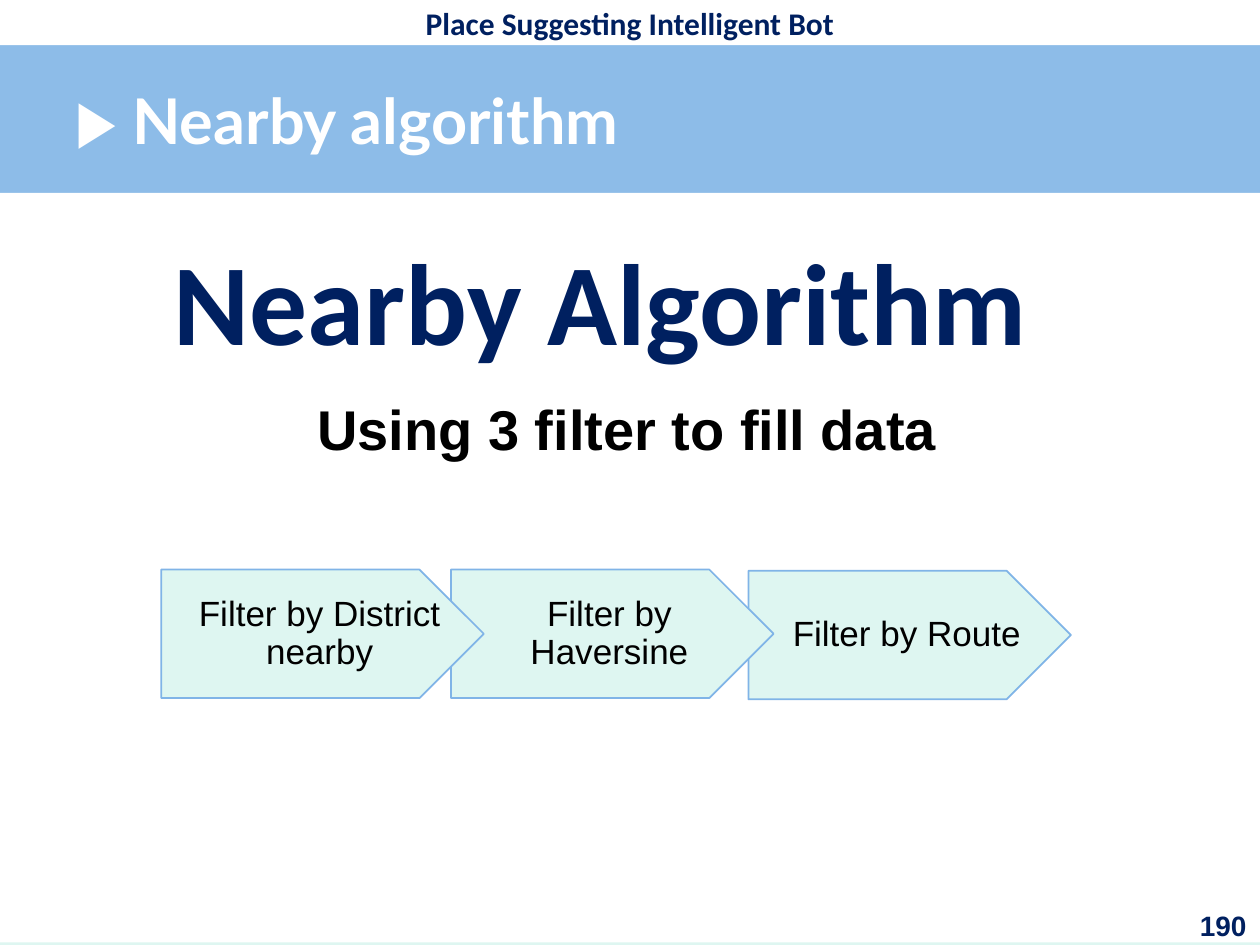
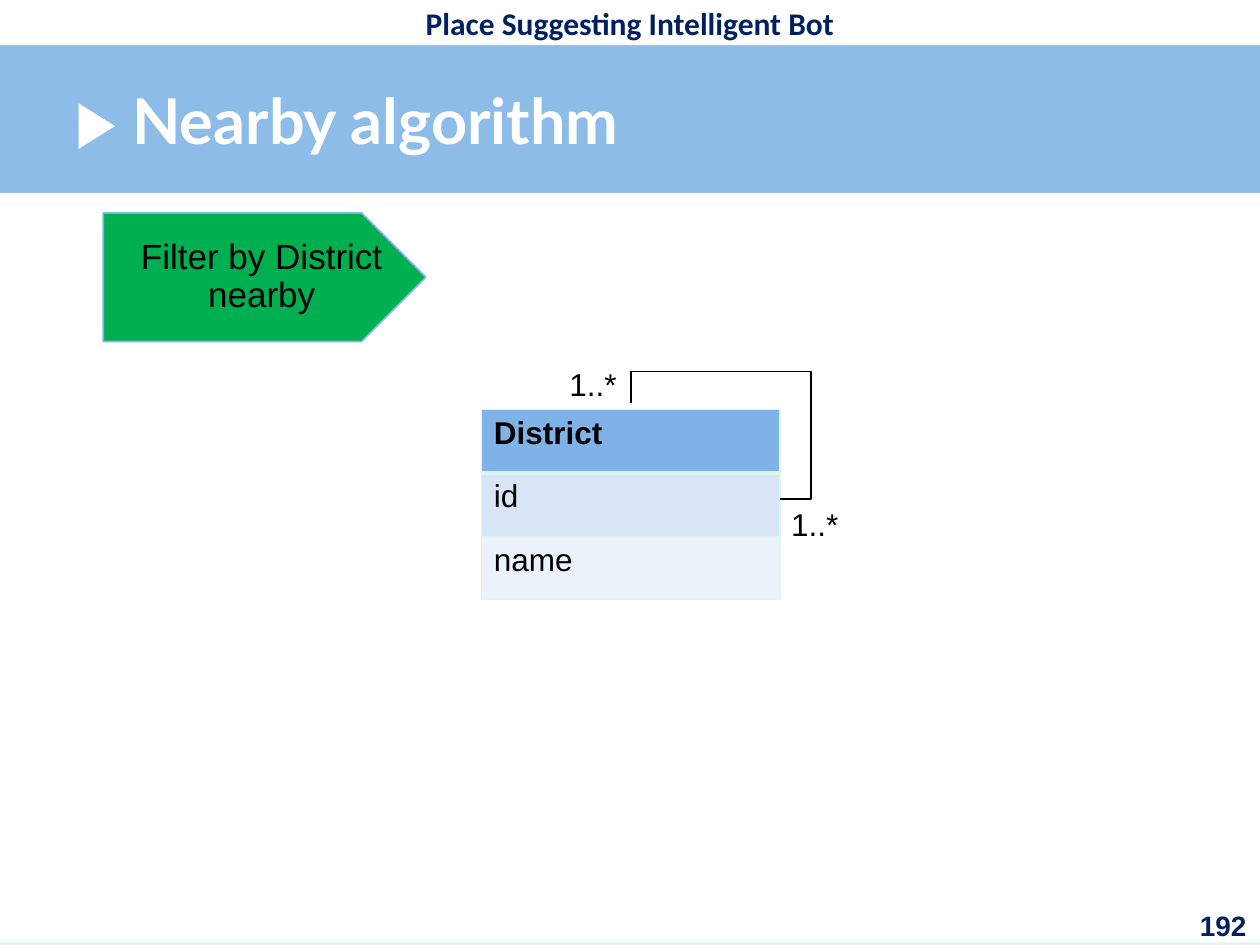
from lxml import etree
from pptx import Presentation
from pptx.dml.color import RGBColor
from pptx.enum import shapes, text
from pptx.oxml import ns
from pptx.util import Inches, Pt

# Content
HEADER = "Place Suggesting Intelligent Bot"
TITLE = "▶ Nearby algorithm"
HEADLINE = "Nearby Algorithm"
SUBTITLE = "Using 3 filter to fill data"
DISTRICT_FILTER = "Filter by District nearby"
FILTER_STEPS = [  # label, left, top
    (DISTRICT_FILTER, 1.28, 4.52),
    ("Filter by Haversine", 3.58, 4.52),
    ("Filter by Route", 5.94, 4.53),
]
DISTRICT_ROWS = ["District", "id", "name"]
MULTIPLICITIES = [("1..*", 4.42, 2.85), ("1..*", 6.18, 3.96)]

# Colours
WHITE, BLACK, NAVY = "FFFFFF", "000000", "002060"
MINT, SKY, STEP_LINE, GREEN = "DEF6F1", "7FB3E7", "80B4E7", "00B050"
ROW_FILLS = [SKY, "D8E5F6", "ECF2FA"]

CENTER, RIGHT = text.PP_ALIGN.CENTER, text.PP_ALIGN.RIGHT
MIDDLE = text.MSO_ANCHOR.MIDDLE


def color(value):
    return RGBColor.from_string(value)


def style(text_frame, size, font_color, bold=False, font="Arial", align=None):
    paragraph = text_frame.paragraphs[0]
    paragraph.alignment = align
    for run in paragraph.runs:
        run.font.size = Pt(size)
        run.font.name = font
        run.font.bold = bold
        run.font.color.rgb = color(font_color)
    return paragraph


def add_text(slide, words, box, size, font_color, wrap=True, anchor=None, **kwargs):
    text_box = slide.shapes.add_textbox(*map(Inches, box))
    text_frame = text_box.text_frame
    text_frame.text = words
    text_frame.word_wrap = wrap
    text_frame.vertical_anchor = anchor
    style(text_frame, size, font_color, **kwargs)


def add_filled(slide, kind, box, fill, line=None):
    shape = slide.shapes.add_shape(kind, *map(Inches, box))
    shape.shadow.inherit = False
    shape.fill.solid()
    shape.fill.fore_color.rgb = color(fill)
    if line:
        shape.line.color.rgb = color(line)
        shape.line.width = Pt(1)
    else:
        shape.line.fill.background()
    return shape


def add_step(slide, label, left, top, fill=MINT):
    step = add_filled(slide, shapes.MSO_SHAPE.PENTAGON, (left, top, 2.56, 1.02),
                      fill, STEP_LINE)
    text_frame = step.text_frame
    text_frame.text = label
    text_frame.word_wrap = True
    text_frame.vertical_anchor = MIDDLE
    text_frame.margin_left, text_frame.margin_right = Inches(0.28), Inches(0.07)
    text_frame.margin_top = text_frame.margin_bottom = Inches(0.15)
    style(text_frame, 20, BLACK, align=CENTER).line_spacing = 0.9


def add_base_slide(presentation, number):
    slide = presentation.slides.add_slide(presentation.slide_layouts[6])
    slide.background.fill.solid()
    slide.background.fill.fore_color.rgb = color(MINT)
    # Title band, header strip and content panel
    rectangle = shapes.MSO_SHAPE.RECTANGLE
    band = add_filled(slide, rectangle, (0, 0, 10, 1.55), SKY)
    band_color = band.fill._xPr.find(".//" + ns.qn("a:srgbClr"))
    etree.SubElement(band_color, ns.qn("a:alpha"), val="85000")
    add_filled(slide, rectangle, (0, 0, 10, 0.36), WHITE)
    add_filled(slide, rectangle, (0, 1.53, 10, 5.95), WHITE)
    # Header, title and page number
    add_text(slide, HEADER, (0.5, 0, 9, 0.36), 18, NAVY, wrap=False,
             anchor=MIDDLE, bold=True, font="Calibri", align=CENTER)
    add_text(slide, TITLE, (0.5, 0.35, 9, 1.2), 36, WHITE,
             anchor=MIDDLE, bold=True, font="Lato")
    add_text(slide, number, (9.38, 7.16, 0.61, 0.34), 16, NAVY,
             bold=True, align=RIGHT)
    return slide


def set_borders(cell, bottom_width):
    properties = cell._tc.get_or_add_tcPr()
    widths = {"lnL": 1, "lnR": 1, "lnT": 1, "lnB": bottom_width}
    for position, (side, width) in enumerate(widths.items()):
        line = etree.Element(ns.qn("a:" + side), w=str(Pt(width)))
        fill = etree.SubElement(line, ns.qn("a:solidFill"))
        etree.SubElement(fill, ns.qn("a:srgbClr"), val=MINT)
        properties.insert(position, line)


def add_district_table(slide):
    box = map(Inches, (3.82, 3.25, 2.37, 1.51))
    table = slide.shapes.add_table(len(DISTRICT_ROWS), 1, *box).table
    for index, (words, fill) in enumerate(zip(DISTRICT_ROWS, ROW_FILLS)):
        cell = table.cell(index, 0)
        cell.text = words
        cell.fill.solid()
        cell.fill.fore_color.rgb = color(fill)
        set_borders(cell, 3 if index == 0 else 1)
        style(cell.text_frame, 18, BLACK, bold=index == 0)


def add_self_relation(slide):
    left, top, width, height = 5.22, 2.99, 0.76, 1.18
    connector = slide.shapes.add_connector(
        shapes.MSO_CONNECTOR.ELBOW,
        *map(Inches, (left, top, left + width, top + height)))
    connector.line.color.rgb = color(BLACK)
    connector.line.width = Pt(1)
    properties = connector._element.spPr
    etree.SubElement(properties, ns.qn("a:effectLst"))
    # Quarter turn and bends that lead around the table corner
    frame = properties.find(ns.qn("a:xfrm"))
    frame.set("rot", "16200000")
    frame.set("flipH", "1")
    geometry = properties.find(ns.qn("a:prstGeom"))
    geometry.set("prst", "bentConnector4")
    guides = geometry.find(ns.qn("a:avLst"))
    if guides is None:
        guides = etree.SubElement(geometry, ns.qn("a:avLst"))
    for name, value in (("adj1", -33100), ("adj2", 121100)):
        etree.SubElement(guides, ns.qn("a:gd"), name=name, fmla=f"val {value}")


def build_overview(presentation):
    slide = add_base_slide(presentation, "190")
    add_text(slide, HEADLINE, (1.28, 1.78, 7.45, 1.72), 66, NAVY,
             bold=True, font="Calibri")
    add_text(slide, SUBTITLE, (2.42, 3.08, 5.15, 0.64), 32, BLACK,
             wrap=False, bold=True)
    # Each arrow overlaps the one to its right
    for step in reversed(FILTER_STEPS):
        add_step(slide, *step)


def build_district_filter(presentation):
    slide = add_base_slide(presentation, "192")
    add_district_table(slide)
    add_self_relation(slide)
    for label, left, top in MULTIPLICITIES:
        add_text(slide, label, (left, top, 0.58, 0.4), 18, BLACK, wrap=False)
    add_step(slide, DISTRICT_FILTER, 0.82, 1.69, GREEN)


def main():
    presentation = Presentation()
    presentation.slide_width, presentation.slide_height = Inches(10), Inches(7.5)
    build_overview(presentation)
    build_district_filter(presentation)
    presentation.save("out.pptx")


if __name__ == "__main__":
    main()
